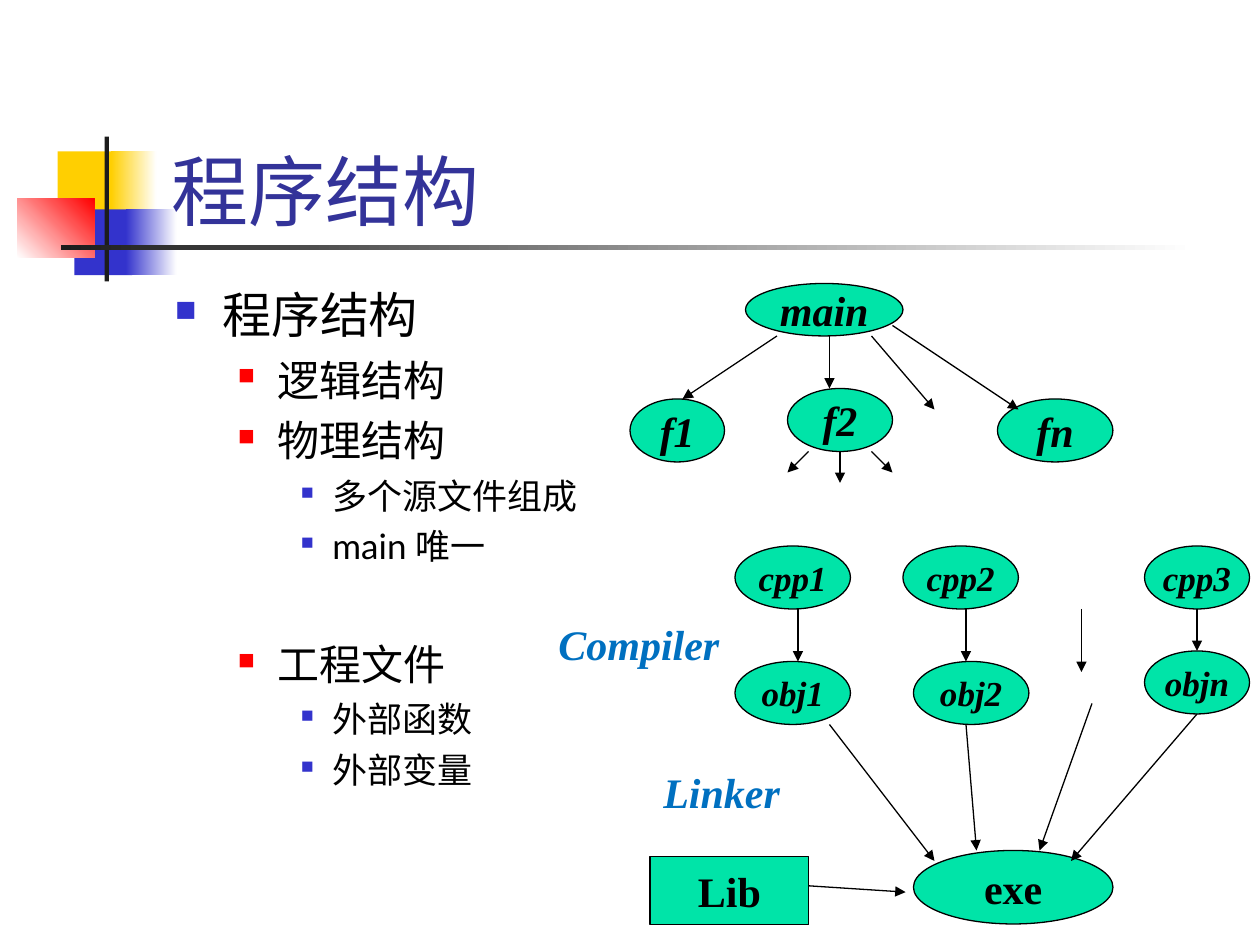
"""Build the program structure slide with its call tree and build diagram."""
from lxml.etree import SubElement
from pptx import Presentation
from pptx.dml.color import RGBColor
from pptx.enum.shapes import MSO_CONNECTOR, MSO_SHAPE
from pptx.enum.text import MSO_ANCHOR, PP_ALIGN
from pptx.oxml.ns import qn
from pptx.util import Pt

BLACK = RGBColor(0x00, 0x00, 0x00)
WHITE = RGBColor(0xFF, 0xFF, 0xFF)
YELLOW = RGBColor(0xFF, 0xCF, 0x01)
BLUE = RGBColor(0x33, 0x33, 0xCC)
RED = RGBColor(0xFF, 0x00, 0x00)
CHARCOAL = RGBColor(0x1C, 0x1C, 0x1C)
INDIGO = RGBColor(0x33, 0x33, 0x99)
GREEN = RGBColor(0x00, 0xE4, 0xA8)
LABEL_BLUE = RGBColor(0x00, 0x70, 0xC0)

BODY_FONT = "Lato"
DIAGRAM_FONT = "Times New Roman"

DECORATION = [
    (33, 86.5, 34.5, 37.5, YELLOW, None, 0),
    (63.5, 86.5, 26, 37.5, YELLOW, WHITE, 0),
    (42.5, 119.7, 33, 37.5, BLUE, None, 0),
    (72, 119.7, 29, 37.5, BLUE, WHITE, 0),
    (9.8, 113.7, 44.2, 33.5, WHITE, RED, 45),
    (59.8, 78, 2.5, 82.8, CHARCOAL, None, 0),
    (34.8, 140.2, 648, 2.5, CHARCOAL, WHITE, 0),
]

# Level: margin, hanging indent, size, space before, bullet colour, bullet percent
LEVELS = [
    (27, 27, 28, 7, BLUE, 60),
    (58.5, 22.5, 24, 6, RED, 55),
    (90, 18, 20, 5, BLUE, 50),
]
OUTLINE = [
    (0, "程序结构", 0),
    (1, "逻辑结构", 0),
    (1, "物理结构", 0),
    (2, "多个源文件组成", 0),
    (2, "main 唯一", 0),
    (1, "工程文件", 35),
    (2, "外部函数", 0),
    (2, "外部变量", 0),
]

ELLIPSES = [
    ("main", 426, 162, 90, 30, 24),
    ("f1", 360, 228, 54, 36, 24),
    ("f2", 450, 222, 60, 36, 24),
    ("fn", 570, 228, 66, 36, 24),
    ("cpp1", 420, 312, 66, 36, 20),
    ("cpp2", 516, 312, 66, 36, 20),
    ("cpp3", 654, 312, 60, 36, 20),
    ("obj1", 420, 378, 66, 36, 20),
    ("obj2", 522, 378, 66, 36, 20),
    ("objn", 654, 372, 60, 36, 20),
]
ARROWS = [
    (444, 192, 390, 228), (474, 192, 474, 222),
    (510, 186, 582, 234), (498, 192, 534, 234),
    (462, 258, 450, 270), (480, 258, 480, 276), (498, 258, 510, 270),
    (456, 348, 456, 378), (552, 348, 552, 378),
    (618, 348, 618, 384), (684, 348, 684, 372),
    (474, 414, 534, 492), (552, 414, 558, 486),
    (624, 402, 594, 486), (684, 408, 612, 492),
    (462.2, 506.2, 517.5, 509.8),
]


def style_text(para, font, size, color, bold=False, italic=False):
    """Format every run of a paragraph."""
    for span in para.runs:
        span.font.name = font
        span.font.size = Pt(size)
        span.font.color.rgb = color
        span.font.bold = bold
        span.font.italic = italic


def add_block(page, left, top, width, height, color, end_color, angle):
    """Add a borderless rectangle, solid or fading to a second colour."""
    block = page.shapes.add_shape(
        MSO_SHAPE.RECTANGLE, Pt(left), Pt(top), Pt(width), Pt(height))
    block.shadow.inherit = False
    block.line.fill.background()
    if end_color is None:
        block.fill.solid()
        block.fill.fore_color.rgb = color
    else:
        block.fill.gradient()
        block.fill.gradient_angle = angle
        for stop, stop_color in zip(block.fill.gradient_stops, (color, end_color)):
            stop.color.rgb = stop_color


def add_text(page, text, left, top, width, height, font, size, color,
             bold=False, italic=False, wrap=False, anchor=MSO_ANCHOR.TOP):
    """Add a text box holding one paragraph."""
    box = page.shapes.add_textbox(Pt(left), Pt(top), Pt(width), Pt(height))
    frame = box.text_frame
    frame.word_wrap = wrap
    frame.vertical_anchor = anchor
    frame.text = text
    style_text(frame.paragraphs[0], font, size, color, bold, italic)


def add_bullet(para, margin, hanging, color, percent):
    """Give a paragraph a hanging square bullet."""
    properties = para._p.get_or_add_pPr()
    properties.set("marL", str(Pt(margin)))
    properties.set("indent", str(-Pt(hanging)))
    bullet_color = SubElement(properties, qn("a:buClr"))
    SubElement(bullet_color, qn("a:srgbClr"), val=str(color))
    SubElement(properties, qn("a:buSzPct"), val=str(percent * 1000))
    SubElement(properties, qn("a:buChar"), char="■")


def add_outline(page):
    """Add the bulleted outline."""
    box = page.shapes.add_textbox(Pt(92.9), Pt(159.1), Pt(612), Pt(366.5))
    frame = box.text_frame
    frame.word_wrap = True
    for index, (level, text, gap) in enumerate(OUTLINE):
        margin, hanging, size, before, color, percent = LEVELS[level]
        para = frame.add_paragraph() if index else frame.paragraphs[0]
        para.text = text
        para.level = level
        add_bullet(para, margin, hanging, color, percent)
        para.space_before = Pt(before + gap if index else 0)
        style_text(para, BODY_FONT, size, BLACK)


def add_node(page, kind, text, left, top, width, height, size, italic=True):
    """Add a labelled green diagram node."""
    node = page.shapes.add_shape(kind, Pt(left), Pt(top), Pt(width), Pt(height))
    node.shadow.inherit = False
    node.fill.solid()
    node.fill.fore_color.rgb = GREEN
    node.line.color.rgb = BLACK
    node.line.width = Pt(0.75)
    frame = node.text_frame
    frame.word_wrap = False
    frame.vertical_anchor = MSO_ANCHOR.MIDDLE
    frame.text = text
    para = frame.paragraphs[0]
    para.alignment = PP_ALIGN.CENTER
    style_text(para, DIAGRAM_FONT, size, BLACK, True, italic)


def add_arrow(page, x1, y1, x2, y2):
    """Add a thin black line with a triangle at its end."""
    arrow = page.shapes.add_connector(
        MSO_CONNECTOR.STRAIGHT, Pt(x1), Pt(y1), Pt(x2), Pt(y2))
    arrow.line.color.rgb = BLACK
    arrow.line.width = Pt(0.75)
    SubElement(arrow.line._get_or_add_ln(), qn("a:tailEnd"), type="triangle")
    SubElement(arrow._element.spPr, qn("a:effectLst"))


def main():
    """Build and save the deck."""
    deck = Presentation()
    deck.slide_width, deck.slide_height = Pt(720), Pt(540)
    page = deck.slides.add_slide(deck.slide_layouts[6])
    for block in DECORATION:
        add_block(page, *block)
    add_text(page, "程序结构", 90.7, 48.2, 613.4, 90, BODY_FONT, 44, INDIGO,
             wrap=True, anchor=MSO_ANCHOR.BOTTOM)
    add_outline(page)
    for ellipse in ELLIPSES:
        add_node(page, MSO_SHAPE.OVAL, *ellipse)
    add_node(page, MSO_SHAPE.OVAL, "exe", 522, 486, 114, 42, 24, italic=False)
    add_node(page, MSO_SHAPE.RECTANGLE, "Lib", 371.5, 489.6, 90.7, 38.9, 24, italic=False)
    for arrow in ARROWS:
        add_arrow(page, *arrow)
    for label, left, top, width in (("Compiler", 312, 350, 110), ("Linker", 372, 434.2, 86)):
        add_text(page, label, left, top, width, 36, DIAGRAM_FONT, 24, LABEL_BLUE, True, True)
    deck.save("out.pptx")


if __name__ == "__main__":
    main()
